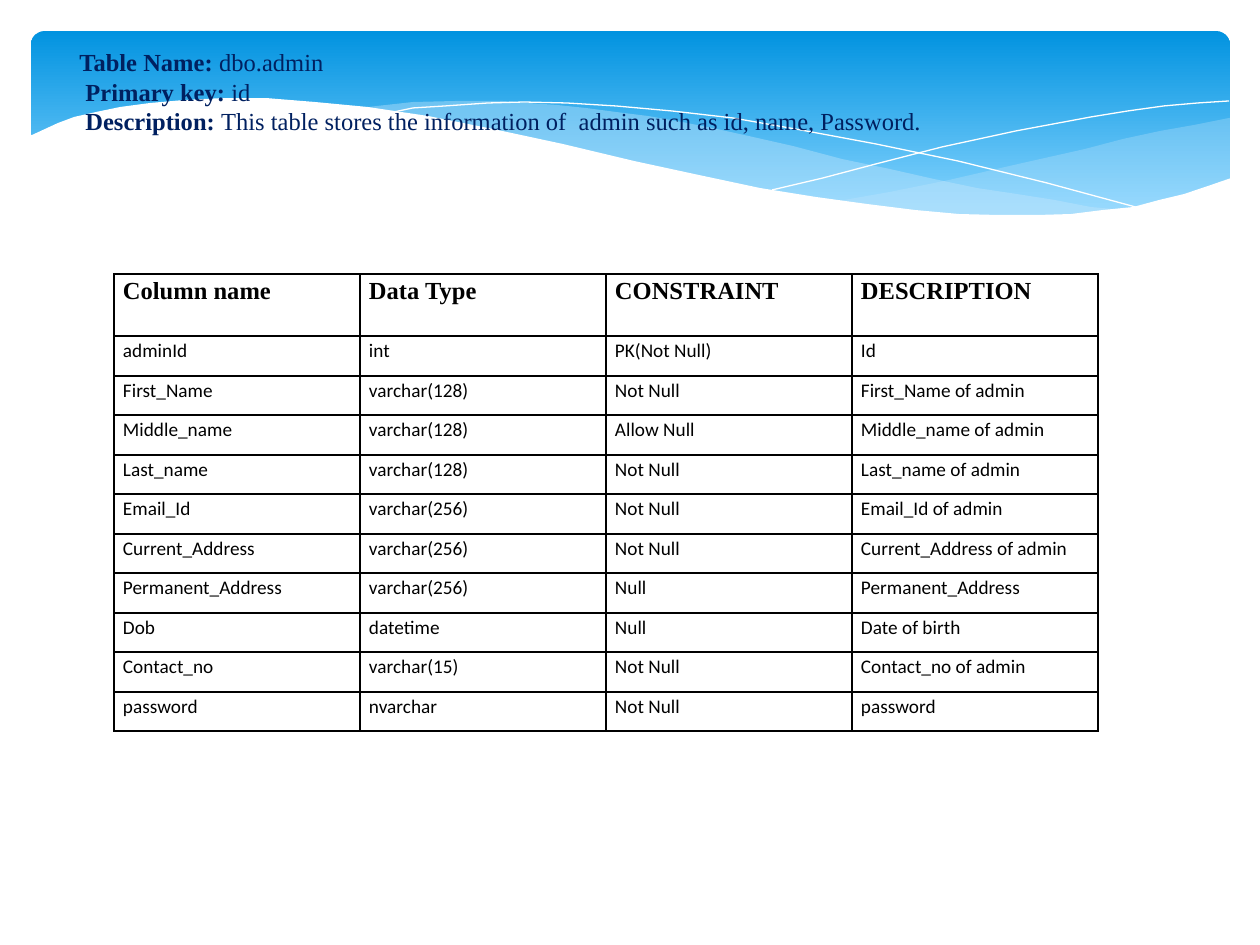
from pptx import Presentation
from pptx.dml.color import RGBColor
from pptx.enum.shapes import MSO_SHAPE
from pptx.enum.text import MSO_ANCHOR
from pptx.oxml import parse_xml
from pptx.oxml.ns import nsdecls, qn
from pptx.util import Emu, Pt
from lxml.etree import SubElement

SCALE = 914400 / 126  # EMU in one px
THEME = {
    "sky_top": "0293E0", "sky_bottom": "83D3FE", "wave": "C6E7FC",
    "white": "FFFFFF", "navy": "002060", "black": "000000",
    "serif": "Times New Roman", "sans": "Calibri",
    "heading": Pt(14), "body": Pt(11), "leading": Pt(16.9), "border": Pt(1),
}


def px(length):
    return Emu(round(length * SCALE))


def add_curve(points, fill=None, opacity=100):
    """Draw a filled wave, or an open white hairline when no fill is given."""
    builder = slide.shapes.build_freeform(*points[0], scale=SCALE)
    builder.add_line_segments(points[1:], close=fill is not None)
    shape = builder.convert_to_shape()
    shape.shadow.inherit = False
    if fill is None:
        shape.fill.background()
        shape.line.color.rgb = RGBColor.from_string(THEME["white"])
        shape.line.width = Pt(0)
        return
    shape.line.fill.background()
    shape.fill.solid()
    shape.fill.fore_color.rgb = RGBColor.from_string(fill)
    if opacity < 100:
        color = shape.fill._xPr.find(qn("a:solidFill"))[0]
        SubElement(color, qn("a:alpha")).set("val", str(opacity * 1000))


presentation = Presentation()
presentation.slide_width, presentation.slide_height = px(1260), px(945)
slide = presentation.slides.add_slide(presentation.slide_layouts[6])

# Blue banner
banner = slide.shapes.add_shape(
    MSO_SHAPE.ROUNDED_RECTANGLE, px(31), px(31), px(1199), px(197))
banner.adjustments[0] = 0.07
banner.shadow.inherit = False
banner.line.fill.background()
banner.fill.gradient()
banner.fill.gradient_angle = 270
for stop, position, color in zip(
        banner.fill.gradient_stops, (0, 0.9), ("sky_top", "sky_bottom")):
    stop.position = position
    stop.color.rgb = RGBColor.from_string(THEME[color])

# Translucent waves
right_wave = [
    (1229, 118), (1194, 125), (1160, 131), (1123, 139), (1085, 149), (1014, 165),
    (949, 180), (890, 192), (833, 202), (871, 207), (906, 210), (954, 214),
    (998, 217), (1052, 217), (1087, 214), (1120, 209), (1150, 204), (1178, 197),
    (1213, 185), (1230, 178), (1230, 118)]
middle_wave = [
    (1125, 210), (1091, 207), (1055, 200), (1017, 194), (977, 188), (934, 179),
    (890, 169), (842, 159), (793, 146), (753, 137), (717, 129), (682, 122),
    (648, 116), (616, 112), (586, 108), (557, 105), (529, 103), (503, 101),
    (455, 101), (413, 102), (377, 106), (360, 108), (407, 113), (456, 122),
    (509, 134), (566, 146), (619, 159), (668, 170), (713, 180), (757, 189),
    (799, 197), (838, 203), (876, 208), (910, 212), (959, 215), (1003, 218),
    (1043, 218), (1080, 215), (1114, 212)]
add_curve(right_wave, THEME["wave"], 29)
add_curve(middle_wave, THEME["wave"], 40)

# White hairlines
falling_line = [
    (389, 113), (413, 108), (445, 106), (488, 103), (524, 102), (567, 103),
    (616, 106), (672, 111), (733, 118), (801, 130), (876, 144), (958, 161),
    (1047, 183), (1143, 209)]
rising_line = [
    (772, 190), (823, 178), (876, 164), (942, 147), (1016, 131), (1091, 117),
    (1128, 111), (1164, 106), (1198, 103), (1229, 101)]
add_curve(falling_line)
add_curve(rising_line)

# White wave that cuts off the lower part of the banner
white_wave = [
    (1231, 178), (1208, 186), (1184, 194), (1159, 200), (1133, 207), (1103, 210),
    (1071, 214), (1037, 215), (999, 215), (959, 214), (915, 210), (867, 204),
    (816, 197), (760, 188), (699, 175), (634, 161), (563, 144), (493, 129),
    (428, 116), (368, 107), (315, 102), (266, 98), (223, 98), (184, 100),
    (150, 103), (120, 107), (96, 112), (74, 117), (58, 123), (45, 129),
    (32, 135), (29, 135), (29, 282), (1231, 282)]
add_curve(white_wave, THEME["white"])

# Column table
rows = [
    ("Column name", "Data Type", "CONSTRAINT", "DESCRIPTION"),
    ("adminId", "int", "PK(Not Null)", "Id"),
    ("First_Name", "varchar(128)", "Not Null", "First_Name of admin"),
    ("Middle_name", "varchar(128)", "Allow Null", "Middle_name of admin"),
    ("Last_name", "varchar(128)", "Not Null", "Last_name of admin"),
    ("Email_Id", "varchar(256)", "Not Null", "Email_Id of admin"),
    ("Current_Address", "varchar(256)", "Not Null", "Current_Address of admin"),
    ("Permanent_Address", "varchar(256)", "Null", "Permanent_Address"),
    ("Dob", "datetime", "Null", "Date of birth"),
    ("Contact_no", "varchar(15)", "Not Null", "Contact_no of admin"),
    ("password", "nvarchar", "Not Null", "password"),
]
heights = [62] + [39 + row % 2 for row in range(1, len(rows))]
table = slide.shapes.add_table(
    len(rows), 4, px(114), px(274), px(984), px(sum(heights))).table
table.first_row = table.horz_banding = False
for column in table.columns:
    column.width = px(246)
for row_index, (row, height) in enumerate(zip(rows, heights)):
    table.rows[row_index].height = px(height)
    is_header = row_index == 0
    for column_index, text in enumerate(row):
        cell = table.cell(row_index, column_index)
        cell.margin_left = cell.margin_right = px(9)
        cell.margin_top = cell.margin_bottom = 0
        properties = cell._tc.get_or_add_tcPr()
        for side in ("lnL", "lnR", "lnT", "lnB"):
            properties.append(parse_xml(
                f'<a:{side} {nsdecls("a")} w="{THEME["border"]}"><a:solidFill>'
                f'<a:srgbClr val="{THEME["black"]}"/></a:solidFill></a:{side}>'))
        cell.fill.background()
        paragraph = cell.text_frame.paragraphs[0]
        paragraph.text = text
        paragraph.line_spacing = 1.15
        font = paragraph.runs[0].font
        font.name = THEME["serif" if is_header else "sans"]
        font.size = THEME["heading" if is_header else "body"]
        font.bold = is_header
        font.color.rgb = RGBColor.from_string(THEME["black"])

# Table facts over the banner
facts = [
    ("Table Name: ", "dbo.admin", 32),
    ("Primary key: ", "id", 38),
    ("Description: ", "This table stores the information of  admin such as id, "
     "name, Password.", 38),
]
text_frame = slide.shapes.add_textbox(px(35), px(0), px(1040), px(142)).text_frame
text_frame.word_wrap = True
text_frame.vertical_anchor = MSO_ANCHOR.BOTTOM
for index, (label, value, indent) in enumerate(facts):
    paragraph = text_frame.add_paragraph() if index else text_frame.paragraphs[0]
    paragraph.line_spacing = THEME["leading"]
    paragraph._p.get_or_add_pPr().set("marL", str(px(indent)))
    for text, bold in ((label, True), (value, False)):
        run = paragraph.add_run()
        run.text = text
        run.font.name = THEME["serif"]
        run.font.size = THEME["heading"]
        run.font.bold = bold
        run.font.color.rgb = RGBColor.from_string(THEME["navy"])

presentation.save("out.pptx")
